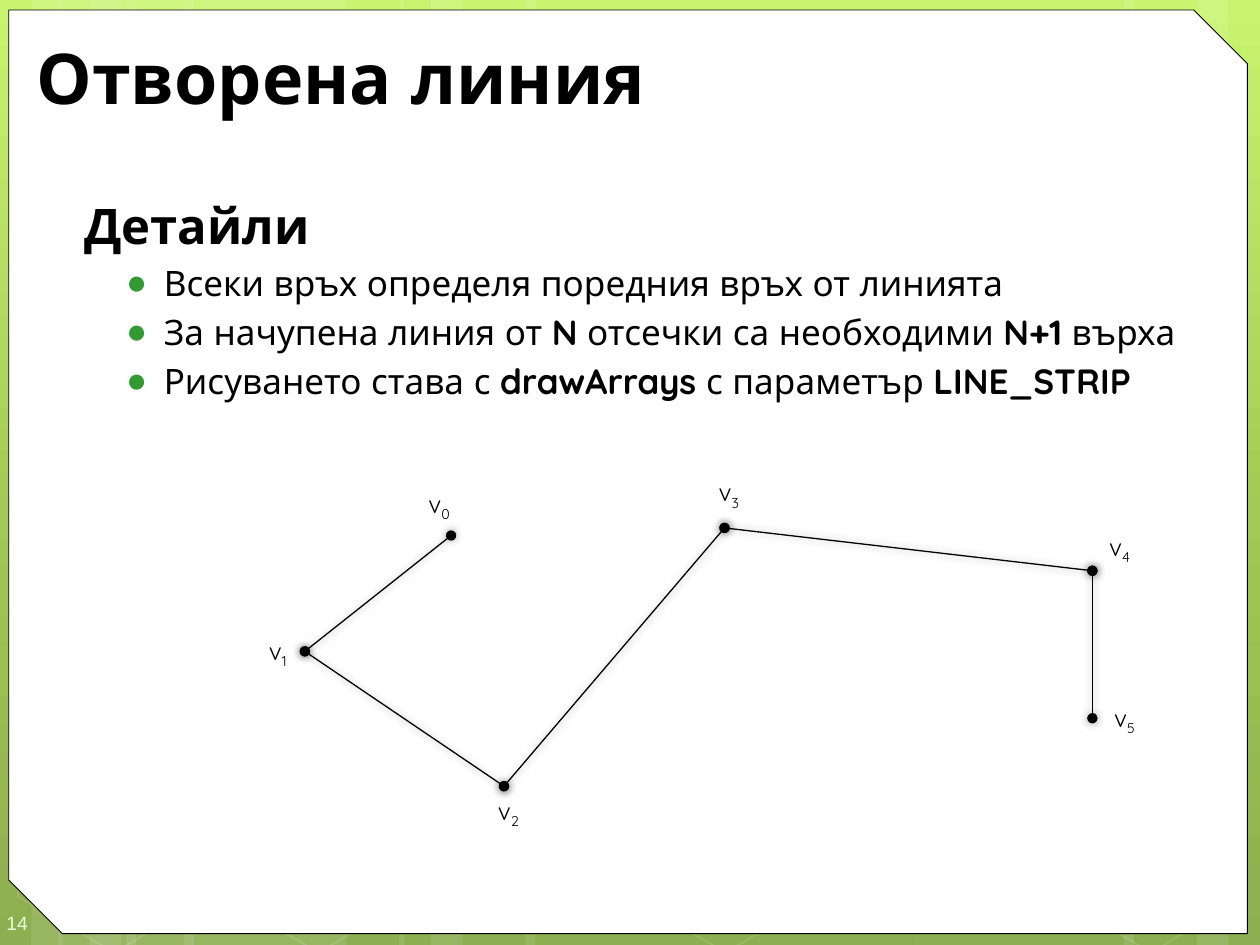
from copy import deepcopy

from pptx import Presentation
from pptx.dml.color import RGBColor
from pptx.enum.shapes import MSO_CONNECTOR, MSO_SHAPE
from pptx.enum.text import MSO_ANCHOR, MSO_AUTO_SIZE, PP_ALIGN
from pptx.oxml import parse_xml
from pptx.oxml.ns import nsdecls, qn
from pptx.oxml.xmlchemy import OxmlElement
from pptx.util import Inches, Pt

BLACK = RGBColor(0x00, 0x00, 0x00)
WHITE = RGBColor(0xFF, 0xFF, 0xFF)
BULLET_GREEN = RGBColor(0x33, 0x99, 0x33)
NUMBER_GREEN = RGBColor(0xEE, 0xFF, 0xD6)
BACKGROUND_STOPS = [
    (0, RGBColor(0xC3, 0xF3, 0x5F)),
    (0.62, RGBColor(0x93, 0xBF, 0x3F)),
    (1, RGBColor(0x81, 0xA5, 0x3E)),
]
FONT = "Quicksand"

# Left edge and width of each translucent full-height band
BANDS = [
    (1, 1.75), (0, 0.5), (0.25, 0.83), (1.46, 1.75), (0.46, 0.5), (0.71, 0.83),
    (7.25, 1.75), (9.5, 0.5), (8.92, 0.83), (4.17, 3.08), (3.17, 0.5), (3.42, 0.83),
]
HEXAGON_LEFTS = [0.03, 1.65, 4.88, 8.26]

# Vertices of the open line, and the left top corner of each label
VERTICES = [(3.58, 4.25), (2.42, 5.17), (4, 6.24), (5.75, 4.19), (8.67, 4.53), (8.67, 5.7)]
LABELS = [(3.14, 3.83), (1.86, 5), (3.69, 6.27), (5.44, 3.74), (8.54, 4.17), (8.58, 5.53)]

# Each item is a list of (text, bold) runs
ITEMS = [
    [("Всеки връх определя поредния връх от линията", False)],
    [("За начупена линия от ", False), ("N", True),
     (" отсечки са необходими ", False), ("N+1", True), (" върха", False)],
    [("Рисуването става с ", False), ("drawArrays ", True),
     ("с параметър ", False), ("LINE_STRIP", True)],
]


def place(shape, left, top, width, height):
    box = {"left": left, "top": top, "width": width, "height": height}
    for name, value in box.items():
        setattr(shape, name, Inches(value))


def add_run(paragraph, text, **formats):
    run = paragraph.add_run()
    run.text = text
    run.font.color.rgb = formats.pop("color", BLACK)
    for name, value in {"name": FONT, **formats}.items():
        setattr(run.font, name, value)
    return run


def set_indent(paragraph, margin, first_line=0):
    properties = paragraph._p.get_or_add_pPr()
    properties.set("marL", str(Inches(margin)))
    properties.set("indent", str(Inches(first_line)))
    return properties


def set_bullet(properties, character=None):
    if character is None:
        properties.append(OxmlElement("a:buNone"))
        return
    color = OxmlElement("a:buClr")
    rgb = OxmlElement("a:srgbClr")
    rgb.set("val", str(BULLET_GREEN))
    color.append(rgb)
    bullet = OxmlElement("a:buChar")
    bullet.set("char", character)
    properties.extend([color, bullet])


def set_opacity(fill_format_parent, percent):
    """Make the first solid colour below the element translucent."""
    alpha = OxmlElement("a:alpha")
    alpha.set("val", str(percent * 1000))
    fill_format_parent.find(".//" + qn("a:srgbClr")).append(alpha)


def set_background(slide):
    fill = slide.background.fill
    fill.gradient()
    fill.gradient_angle = 270
    stop_list = slide.element.find(".//" + qn("a:gsLst"))
    stop_list.append(deepcopy(stop_list[-1]))
    for stop, (position, color) in zip(fill.gradient_stops, BACKGROUND_STOPS):
        stop.position = position
        stop.color.rgb = color


def add_band(slide, left, width):
    shape = slide.shapes.add_shape(
        MSO_SHAPE.RECTANGLE, Inches(left), 0, Inches(width), Inches(7.5))
    shape.shadow.inherit = False
    shape.fill.solid()
    shape.fill.fore_color.rgb = WHITE
    set_opacity(shape.element.spPr, 10)
    shape.line.fill.background()


def add_hexagon(slide, left):
    shape = slide.shapes.add_shape(
        MSO_SHAPE.HEXAGON, Inches(left), Inches(5.92), Inches(1.75), Inches(1.52))
    shape.adjustments[0] = 0.285
    shape.rotation = 30
    shape.shadow.inherit = False
    shape.fill.background()
    shape.line.color.rgb = WHITE
    shape.line.width = Pt(1)
    set_opacity(shape.element.spPr, 12)


def add_panel(slide):
    panel = slide.shapes.add_shape(
        MSO_SHAPE.SNIP_2_DIAG_RECTANGLE,
        Inches(0.07), Inches(0.08), Inches(9.83), Inches(7.33))
    panel.adjustments[0] = 0
    panel.adjustments[1] = 0.058
    panel.shadow.inherit = False
    panel.fill.solid()
    panel.fill.fore_color.rgb = WHITE
    panel.line.color.rgb = BLACK
    panel.line.width = Pt(0.5)


def add_slide_number(slide):
    frame = slide.shapes.add_textbox(0, Inches(7.1), Inches(0.58), Inches(0.4)).text_frame
    insets = {"margin_left": 0.05, "margin_top": 0.15, "margin_right": 0, "margin_bottom": 0.1}
    for name, value in insets.items():
        setattr(frame, name, Inches(value))
    frame.word_wrap = True
    frame.vertical_anchor = MSO_ANCHOR.MIDDLE
    add_run(frame.paragraphs[0], "14", name="Arial", size=Pt(11), color=NUMBER_GREEN)


def fill_title(title):
    place(title, 0.19, 0.25, 9.47, 0.71)
    frame = title.text_frame
    frame.auto_size = MSO_AUTO_SIZE.NONE
    frame.vertical_anchor = MSO_ANCHOR.MIDDLE
    paragraph = frame.paragraphs[0]
    paragraph.alignment = PP_ALIGN.LEFT
    add_run(paragraph, "Отворена линия", size=Pt(40), bold=True)


def fill_body(body):
    place(body, 0.5, 1.5, 9.42, 5.92)
    frame = body.text_frame
    frame.auto_size = MSO_AUTO_SIZE.NONE
    heading = frame.paragraphs[0]
    set_bullet(set_indent(heading, 0.07))
    heading.space_before = Pt(0)
    add_run(heading, "Детайли", size=Pt(28), bold=True)
    for runs in ITEMS:
        paragraph = frame.add_paragraph()
        paragraph.level = 1
        set_bullet(set_indent(paragraph, 0.7, -0.3), "●")
        paragraph.space_before = Pt(4)
        for text, bold in runs:
            add_run(paragraph, text, size=Pt(20), bold=bold)


def add_segment(slide, start, end):
    """Draw one line with round ends and a soft shadow."""
    points = [Inches(value) for value in (*start, *end)]
    connector = slide.shapes.add_connector(MSO_CONNECTOR.STRAIGHT, *points)
    connector.line.color.rgb = BLACK
    connector.line.width = Pt(0.75)
    line = connector.line._get_or_add_ln()
    for tag in ("a:headEnd", "a:tailEnd"):
        line_end = OxmlElement(tag)
        line_end.set("type", "oval")
        line.append(line_end)
    connector.element.spPr.append(parse_xml(
        f'<a:effectLst {nsdecls("a")}><a:outerShdw blurRad="{Pt(5)}" dist="0" dir="0">'
        f'<a:srgbClr val="{BLACK}"><a:alpha val="40000"/></a:srgbClr>'
        '</a:outerShdw></a:effectLst>'))


def add_vertex_label(slide, index, left, top):
    frame = slide.shapes.add_textbox(
        Inches(left), Inches(top), Inches(0.62), Inches(0.34)).text_frame
    frame.word_wrap = True
    paragraph = frame.paragraphs[0]
    paragraph.alignment = PP_ALIGN.CENTER
    set_indent(paragraph, 0.07)
    add_run(paragraph, "v", size=Pt(14))
    subscript = add_run(paragraph, str(index), size=Pt(14))
    subscript.font._element.set("baseline", "-25000")


def main():
    presentation = Presentation()
    presentation.slide_width, presentation.slide_height = Inches(10), Inches(7.5)
    slide = presentation.slides.add_slide(presentation.slide_layouts[1])
    title, body = slide.placeholders
    set_background(slide)
    for left, width in BANDS:
        add_band(slide, left, width)
    for left in HEXAGON_LEFTS:
        add_hexagon(slide, left)
    add_panel(slide)
    add_slide_number(slide)
    # Bring the placeholders in front of the panel
    slide.shapes.element.extend([title.element, body.element])
    fill_title(title)
    fill_body(body)
    for start, end in zip(VERTICES, VERTICES[1:]):
        add_segment(slide, start, end)
    for index, (left, top) in enumerate(LABELS):
        add_vertex_label(slide, index, left, top)
    presentation.save("out.pptx")


if __name__ == "__main__":
    main()
